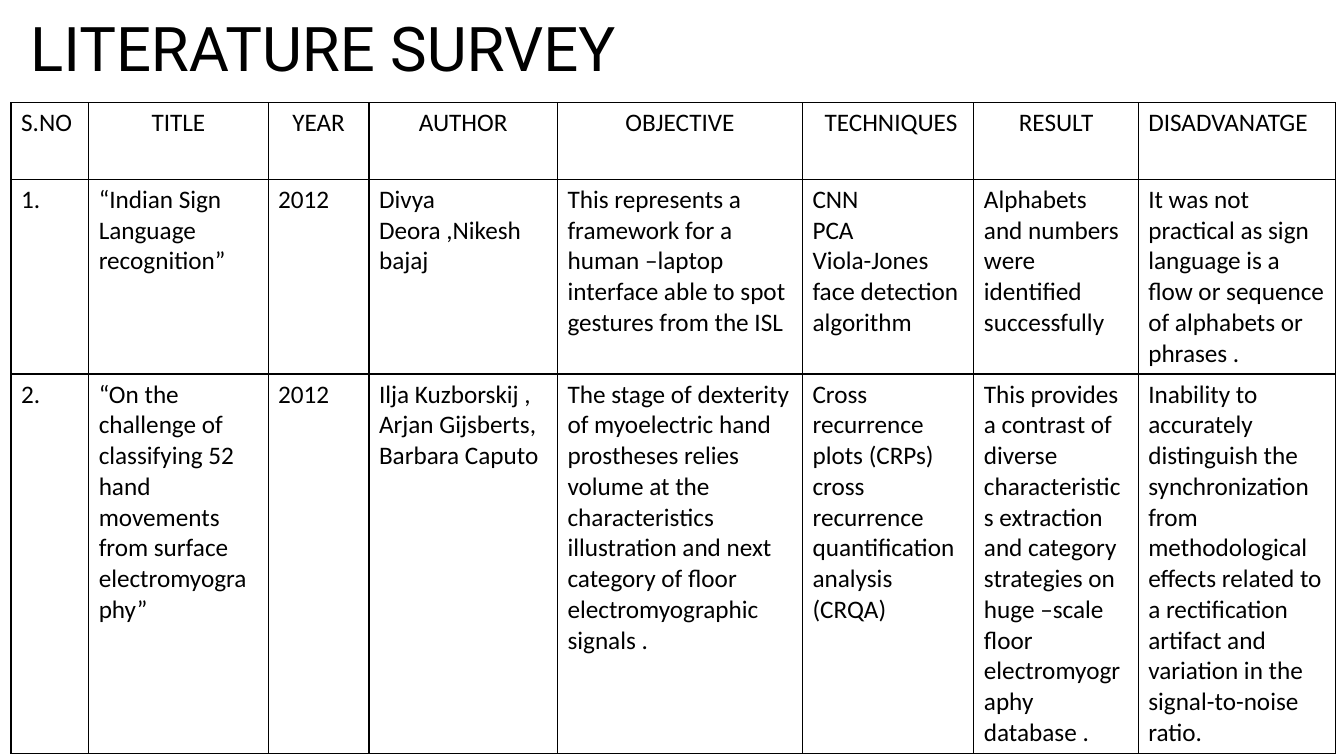
from dataclasses import dataclass

from lxml.etree import SubElement
from pptx import Presentation
from pptx.dml.color import RGBColor
from pptx.enum.text import MSO_ANCHOR, PP_ALIGN
from pptx.oxml.ns import qn
from pptx.table import _Cell
from pptx.text.text import TextFrame
from pptx.util import Inches, Pt

COLOURS = {"ink": "000000"}
UNIT = Inches(0.01)  # the slide is a grid of 1333 columns by 750 rows
ROW_HEIGHTS = (76, 191, 370)


@dataclass(frozen=True)
class SurveyColumn:
    heading: str
    width: int
    entries: tuple[str, str]
    heading_align: PP_ALIGN = PP_ALIGN.CENTER


SURVEY = (
    SurveyColumn("S.NO", 77, ("1.", "2."), PP_ALIGN.LEFT),
    SurveyColumn("TITLE", 178, (
        "“Indian Sign Language recognition”",
        "“On the challenge of classifying 52 hand movements from surface "
        "electromyography”")),
    SurveyColumn("YEAR", 100, ("2012", "2012")),
    SurveyColumn("AUTHOR", 187, (
        "Divya Deora ,Nikesh bajaj",
        "Ilja Kuzborskij , Arjan Gijsberts, Barbara Caputo")),
    SurveyColumn("OBJECTIVE", 243, (
        "This represents a framework for a human –laptop interface able to "
        "spot gestures from the ISL",
        "The stage of dexterity of myoelectric hand prostheses relies volume "
        "at the characteristics illustration and next category of floor "
        "electromyographic signals .")),
    SurveyColumn(" TECHNIQUES", 170, (
        "CNN\nPCA\nViola-Jones face detection algorithm",
        "Cross recurrence plots (CRPs)\n"
        "cross recurrence quantification analysis (CRQA)")),
    SurveyColumn("RESULT", 163, (
        "Alphabets and numbers were identified successfully",
        "This provides a contrast of diverse characteristics extraction and "
        "category strategies on huge –scale floor electromyography database .")),
    SurveyColumn("DISADVANATGE", 196, (
        "It was not practical as sign language is a flow or sequence of "
        "alphabets or phrases .",
        "Inability to accurately distinguish the synchronization from "
        "methodological effects related to a rectification artifact and "
        "variation in the signal-to-noise ratio."), PP_ALIGN.LEFT),
)


def write(frame: TextFrame, text: str, font: str, size: int,
          align: PP_ALIGN = PP_ALIGN.LEFT) -> None:
    frame.text = text
    for paragraph in frame.paragraphs:
        paragraph.alignment = align
        for run in paragraph.runs:
            run.font.name = font
            run.font.size = Pt(size)
            run.font.bold = False
            run.font.color.rgb = RGBColor.from_string(COLOURS["ink"])


def add_borders(cell: _Cell) -> None:
    properties = cell._tc.get_or_add_tcPr()
    for position, edge in enumerate(("a:lnL", "a:lnR", "a:lnT", "a:lnB")):
        line = SubElement(properties, qn(edge), w=str(Pt(1)))
        fill = SubElement(line, qn("a:solidFill"))
        SubElement(fill, qn("a:srgbClr"), val=COLOURS["ink"])
        properties.insert(position, line)  # borders come before the fill


def fill_cell(cell: _Cell, text: str, align: PP_ALIGN) -> None:
    cell.fill.background()
    add_borders(cell)
    write(cell.text_frame, text, "Calibri", 18, align)


presentation = Presentation()
presentation.slide_width = 1333 * UNIT
presentation.slide_height = 750 * UNIT
slide = presentation.slides.add_slide(presentation.slide_layouts[5])

# Title
title = slide.shapes.title
title.left, title.top = 20 * UNIT, 0
title.width, title.height = 1222 * UNIT, 102 * UNIT
write(title.text_frame, "LITERATURE SURVEY", "Roboto", 44)
title.text_frame.vertical_anchor = MSO_ANCHOR.MIDDLE
title.text_frame.paragraphs[0].line_spacing = 0.9

# Survey table
survey = slide.shapes.add_table(
    len(ROW_HEIGHTS), len(SURVEY), 11 * UNIT, 102 * UNIT,
    sum(column.width for column in SURVEY) * UNIT,
    sum(ROW_HEIGHTS) * UNIT).table
survey.first_row = survey.horz_banding = False
for row, height in zip(survey.rows, ROW_HEIGHTS):
    row.height = height * UNIT
for index, column in enumerate(SURVEY):
    survey.columns[index].width = column.width * UNIT
    fill_cell(survey.cell(0, index), column.heading, column.heading_align)
    for number, entry in enumerate(column.entries, start=1):
        fill_cell(survey.cell(number, index), entry, PP_ALIGN.LEFT)

presentation.save("out.pptx")
